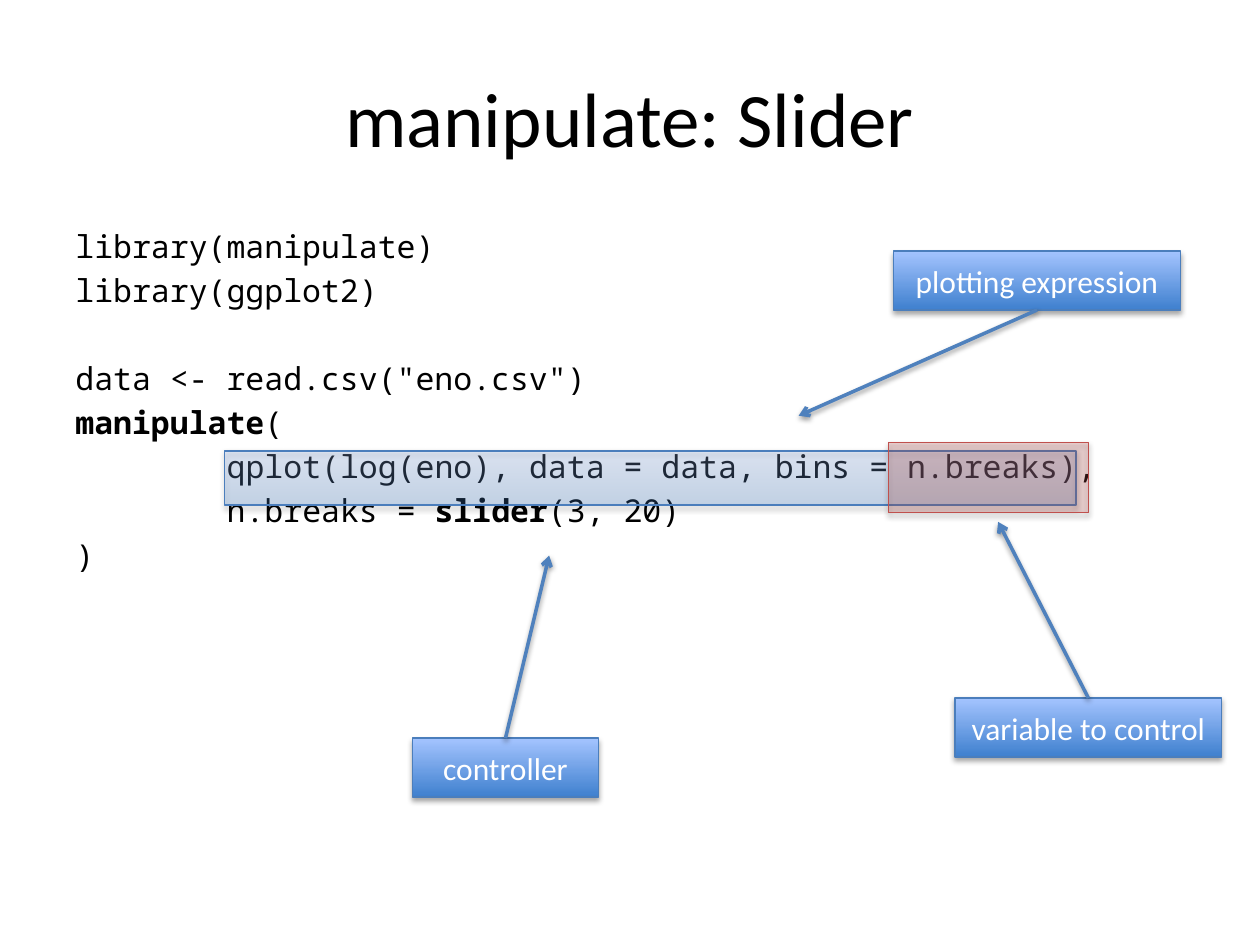
from lxml import etree
from pptx import Presentation
from pptx.dml.color import RGBColor
from pptx.enum.shapes import MSO_CONNECTOR, MSO_SHAPE
from pptx.enum.text import MSO_ANCHOR, PP_ALIGN
from pptx.oxml.ns import qn
from pptx.util import Cm, Pt

RECTANGLE = MSO_SHAPE.RECTANGLE
STRAIGHT = MSO_CONNECTOR.STRAIGHT
TOP, MIDDLE = MSO_ANCHOR.TOP, MSO_ANCHOR.MIDDLE
LEFT, CENTER = PP_ALIGN.LEFT, PP_ALIGN.CENTER

BLACK, WHITE = "000000", "FFFFFF"
GRADIENT = ("3F80CE", "A4C4FF")
BLUE_EDGE, ARROW_BLUE, RED = "4B7EBC", "4F81BD", "C0504D"
SANS, MONO = "Calibri", "Noto Sans Mono"
CODE_GAP, CODE_LINE, CODE_INDENT = 3.6, 25.2, 3.05
LABEL_HEIGHT = 1.19


def color(hex_text):
    return RGBColor.from_string(hex_text)


def lengths(box):
    return [Cm(value) for value in box]


def write(para, text, font=SANS, size=18, ink=BLACK, bold=False):
    span = para.add_run()
    span.text = text
    span.font.name = font
    span.font.size = Pt(size)
    span.font.bold = bold
    span.font.color.rgb = color(ink)


def set_opacity(shape, percent):
    for tint in shape._element.spPr.iter(qn("a:srgbClr")):
        etree.SubElement(tint, qn("a:alpha"), val=str(percent * 1000))


def add_shadow(shape, opacity, distance):
    properties = shape._element.spPr
    for old in properties.findall(qn("a:effectLst")):
        properties.remove(old)
    effects = etree.SubElement(properties, qn("a:effectLst"))
    shadow = etree.SubElement(
        effects, qn("a:outerShdw"), blurRad=str(Pt(3.1)),
        dist=str(Pt(distance)), dir="5400000", rotWithShape="0")
    tint = etree.SubElement(shadow, qn("a:srgbClr"), val=BLACK)
    etree.SubElement(tint, qn("a:alpha"), val=str(opacity * 1000))


def add_text_frame(page, box, anchor):
    frame = page.shapes.add_textbox(*lengths(box)).text_frame
    frame.word_wrap = True
    frame.vertical_anchor = anchor
    return frame


def add_title(page, box, text):
    para = add_text_frame(page, box, MIDDLE).paragraphs[0]
    para.alignment = CENTER
    write(para, text, size=44)


def add_code(page, box, lines):
    frame = add_text_frame(page, box, TOP)
    for index, (level, blank_before, spans) in enumerate(lines):
        para = frame.add_paragraph() if index else frame.paragraphs[0]
        para.alignment = LEFT
        if index:
            para.space_before = Pt(CODE_GAP + blank_before * CODE_LINE)
        if level:
            para._p.get_or_add_pPr().set("marL", str(Cm(CODE_INDENT * level)))
        for text, bold in spans:
            write(para, text, font=MONO, bold=bold)


def add_panel(page, box, fills, edge, opacity=None):
    panel = page.shapes.add_shape(RECTANGLE, *lengths(box))
    if len(fills) == 1:
        panel.fill.solid()
        panel.fill.fore_color.rgb = color(fills[0])
    else:
        panel.fill.gradient()
        panel.fill.gradient_angle = 90
        for stop, tint in zip(panel.fill.gradient_stops, fills):
            stop.color.rgb = color(tint)
    if opacity:
        set_opacity(panel, opacity)
    panel.line.color.rgb = color(edge)
    panel.line.width = Pt(0.75)
    panel.shadow.inherit = False
    add_shadow(panel, 35, 1.8)
    return panel


def add_arrow(page, start, tip):
    arrow = page.shapes.add_connector(STRAIGHT, *lengths(start + tip))
    arrow.line.color.rgb = color(ARROW_BLUE)
    arrow.line.width = Pt(2)
    etree.SubElement(arrow.line._get_or_add_ln(), qn("a:tailEnd"), type="arrow")
    add_shadow(arrow, 38, 1.6)


def add_callout(page, box, text, tip):
    left, top, width, height = box
    label = add_panel(page, box, GRADIENT, BLUE_EDGE)
    frame = label.text_frame
    frame.word_wrap = False
    frame.vertical_anchor = MIDDLE
    frame.paragraphs[0].alignment = CENTER
    write(frame.paragraphs[0], text, ink=WHITE)
    start_y = top + height if tip[1] > top else top
    add_arrow(page, (left + width / 2, start_y), tip)


CODE = [
    (0, False, [("library(manipulate)", False)]),
    (0, False, [("library(ggplot2)", False)]),
    (0, True, [('data <- read.csv("eno.csv")', False)]),
    (0, False, [("manipulate", True), ("(", False)]),
    (1, False, [("qplot(log(eno), data = data, bins = n.breaks),", False)]),
    (1, False, [("n.breaks = ", False), ("slider", True), ("(3, 20)", False)]),
    (0, False, [(")", False)]),
]
CALLOUTS = [
    ((18.01, 5.06, 5.79, LABEL_HEIGHT), "plotting expression", (16.1, 8.38)),
    ((8.31, 14.88, 3.76, LABEL_HEIGHT), "controller", (11.07, 11.2)),
    ((19.25, 14.07, 5.38, LABEL_HEIGHT), "variable to control", (20.12, 10.52)),
]

deck = Presentation()
deck.slide_width, deck.slide_height = Cm(25.4), Cm(19.05)
page = deck.slides.add_slide(deck.slide_layouts[6])
add_title(page, (1.27, 0.76, 22.86, 3.18), "manipulate: Slider")
add_code(page, (1.27, 4.45, 22.86, 12.57), CODE)
add_panel(page, (4.52, 9.09, 17.17, 1.09), GRADIENT, BLUE_EDGE, opacity=23)
for callout in CALLOUTS:
    add_callout(page, *callout)
add_panel(page, (17.91, 8.92, 4.04, 1.42), (RED,), RED, opacity=23)
deck.save("out.pptx")
